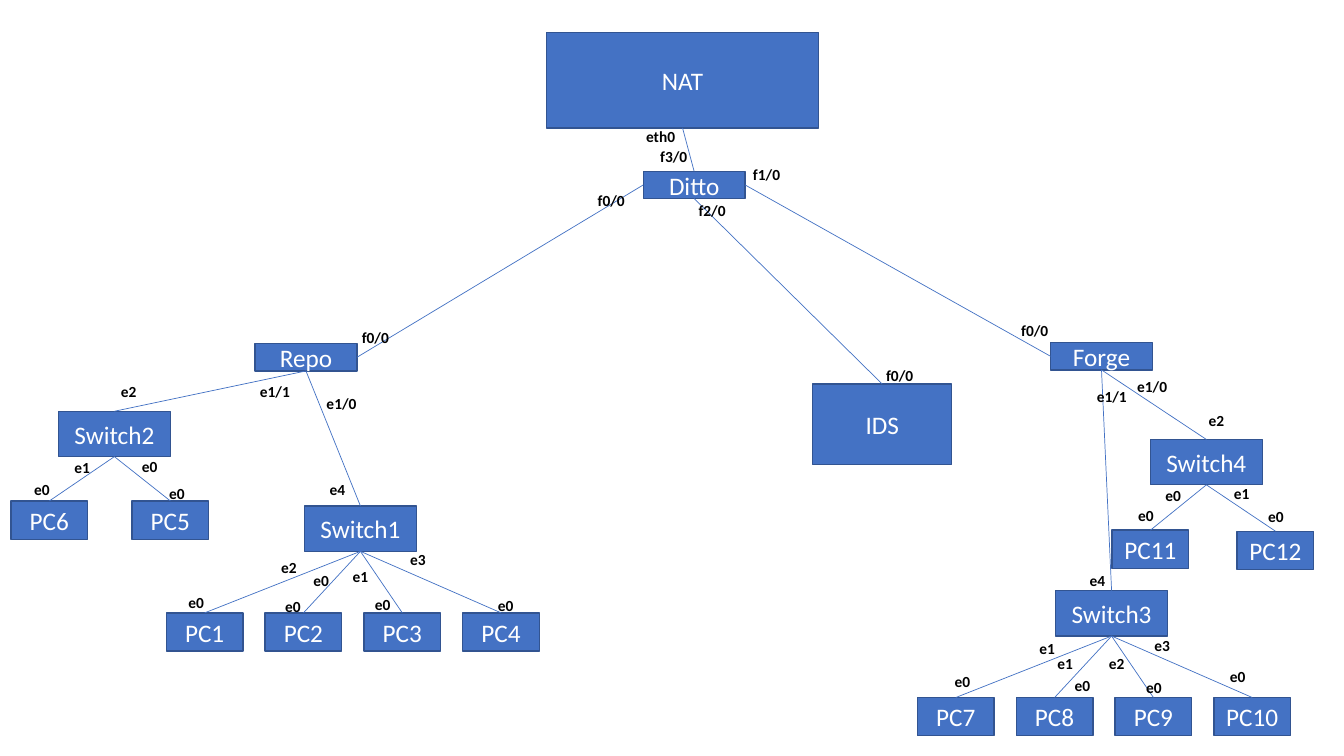
from lxml import etree
from pptx import Presentation
from pptx.dml.color import RGBColor
from pptx.enum import shapes, text
from pptx.oxml import ns
from pptx.util import Inches, Pt

BLUE = RGBColor(0x44, 0x72, 0xC4)
OUTLINE = RGBColor(0x32, 0x54, 0x91)
WHITE = RGBColor(0xFF, 0xFF, 0xFF)
BLACK = RGBColor(0, 0, 0)
FONT = "Calibri"

ROUTER, SWITCH, PC = (1.01, 0.27), (1.11, 0.45), (0.76, 0.38)
PORT = (0.76, 0.29)
PC_PITCH = 0.98

devices = [
    ("NAT", 5.42, 0.32, (2.7, 0.95)),
    ("IDS", 8.06, 3.81, (1.38, 0.8)),
    ("Ditto", 6.38, 1.7, ROUTER),
    ("Repo", 2.53, 3.41, ROUTER),
    ("Forge", 10.42, 3.4, ROUTER),
    ("Switch1", 3.02, 5.02, SWITCH),
    ("Switch2", 0.58, 4.08, SWITCH),
    ("Switch3", 10.47, 5.86, SWITCH),
    ("Switch4", 11.41, 4.36, SWITCH),
    ("PC5", 1.31, 4.97, PC),
    ("PC6", 0.11, 4.97, PC),
    ("PC11", 11.03, 5.26, PC),
    ("PC12", 12.27, 5.27, PC),
]
pc_rows = [
    (("PC1", "PC2", "PC3", "PC4"), 1.65, 6.08),
    (("PC7", "PC8", "PC9", "PC10"), 9.1, 6.92),
]

TOP, LEFT, BOTTOM, RIGHT = range(4)
side_links = {("Ditto", "Repo"): (LEFT, RIGHT), ("Ditto", "Forge"): (RIGHT, LEFT)}

links = [
    ("NAT", "Ditto", ("eth0", 6.31, 1.21), ("f3/0", 6.45, 1.41)),
    ("Ditto", "Repo", ("f0/0", 5.83, 1.85), ("f0/0", 3.49, 3.21)),
    ("Ditto", "Forge", ("f1/0", 7.37, 1.59), ("f0/0", 10.03, 3.14)),
    ("Ditto", "IDS", ("f2/0", 6.83, 1.95), ("f0/0", 8.69, 3.58)),
    ("Repo", "Switch1", ("e1/0", 3.14, 3.86), ("e4", 3.17, 4.71)),
    ("Repo", "Switch2", ("e1/1", 2.48, 3.74), ("e2", 1.1, 3.74)),
    ("Forge", "Switch3", ("e1/1", 10.78, 3.79), ("e4", 10.71, 5.62)),
    ("Forge", "Switch4", ("e1/0", 11.18, 3.69), ("e2", 11.89, 4.03)),
    ("Switch1", "PC1", ("e2", 2.69, 5.49), ("e0", 1.77, 5.83)),
    ("Switch1", "PC2", ("e0", 3.01, 5.62), ("e0", 2.73, 5.87)),
    ("Switch1", "PC3", ("e1", 3.4, 5.58), ("e0", 3.62, 5.85)),
    ("Switch1", "PC4", ("e3", 3.97, 5.41), ("e0", 4.84, 5.86)),
    ("Switch2", "PC5", ("e0", 1.31, 4.49), ("e0", 1.58, 4.75)),
    ("Switch2", "PC6", ("e1", 0.64, 4.5), ("e0", 0.24, 4.71)),
    ("Switch3", "PC7", ("e1", 10.21, 6.29), ("e0", 9.37, 6.62)),
    ("Switch3", "PC8", ("e1", 10.39, 6.44), ("e0", 10.56, 6.66)),
    ("Switch3", "PC9", ("e2", 10.9, 6.44), ("e0", 11.27, 6.68)),
    ("Switch3", "PC10", ("e3", 11.35, 6.26), ("e0", 12.1, 6.57)),
    ("Switch4", "PC11", ("e0", 11.46, 4.77), ("e0", 11.19, 4.97)),
    ("Switch4", "PC12", ("e1", 12.14, 4.75), ("e0", 12.48, 4.98)),
]


def write(frame, words, size, color, bold=False):
    frame.text = words
    frame.word_wrap = True
    font = frame.paragraphs[0].runs[0].font
    font.name, font.size, font.bold = FONT, Pt(size), bold
    font.color.rgb = color


def add_device(slide, name, x, y, size):
    device = slide.shapes.add_shape(
        shapes.MSO_SHAPE.RECTANGLE, *map(Inches, (x, y, *size)))
    device.shadow.inherit = False
    device.fill.solid()
    device.fill.fore_color.rgb = BLUE
    device.line.color.rgb = OUTLINE
    device.line.width = Pt(1)
    write(device.text_frame, name, 18, WHITE)
    device.text_frame.vertical_anchor = text.MSO_ANCHOR.MIDDLE
    device.text_frame.paragraphs[0].alignment = text.PP_ALIGN.CENTER
    return device


def add_link(slide, parent, child, sites):
    link = slide.shapes.add_connector(shapes.MSO_CONNECTOR.STRAIGHT, 0, 0, 0, 0)
    link.begin_connect(parent, sites[0])
    link.end_connect(child, sites[1])
    link.line.color.rgb = BLUE
    link.line.width = Pt(0.5)
    etree.SubElement(link._element.spPr, ns.qn("a:effectLst"))


def add_port(slide, name, x, y):
    port = slide.shapes.add_textbox(*map(Inches, (x, y, *PORT)))
    write(port.text_frame, name, 11, BLACK, bold=True)
    port.text_frame.auto_size = text.MSO_AUTO_SIZE.SHAPE_TO_FIT_TEXT


def main():
    deck = Presentation()
    deck.slide_width, deck.slide_height = Inches(13.33), Inches(7.5)
    slide = deck.slides.add_slide(deck.slide_layouts[6])

    row_devices = [(name, x + i * PC_PITCH, y, PC)
                   for names, x, y in pc_rows for i, name in enumerate(names)]
    network = {device[0]: add_device(slide, *device)
               for device in devices + row_devices}

    for parent, child, *_ in links:
        sites = side_links.get((parent, child), (BOTTOM, TOP))
        add_link(slide, network[parent], network[child], sites)

    for _, _, *ports in links:
        for port in ports:
            add_port(slide, *port)

    deck.save("out.pptx")


if __name__ == "__main__":
    main()
